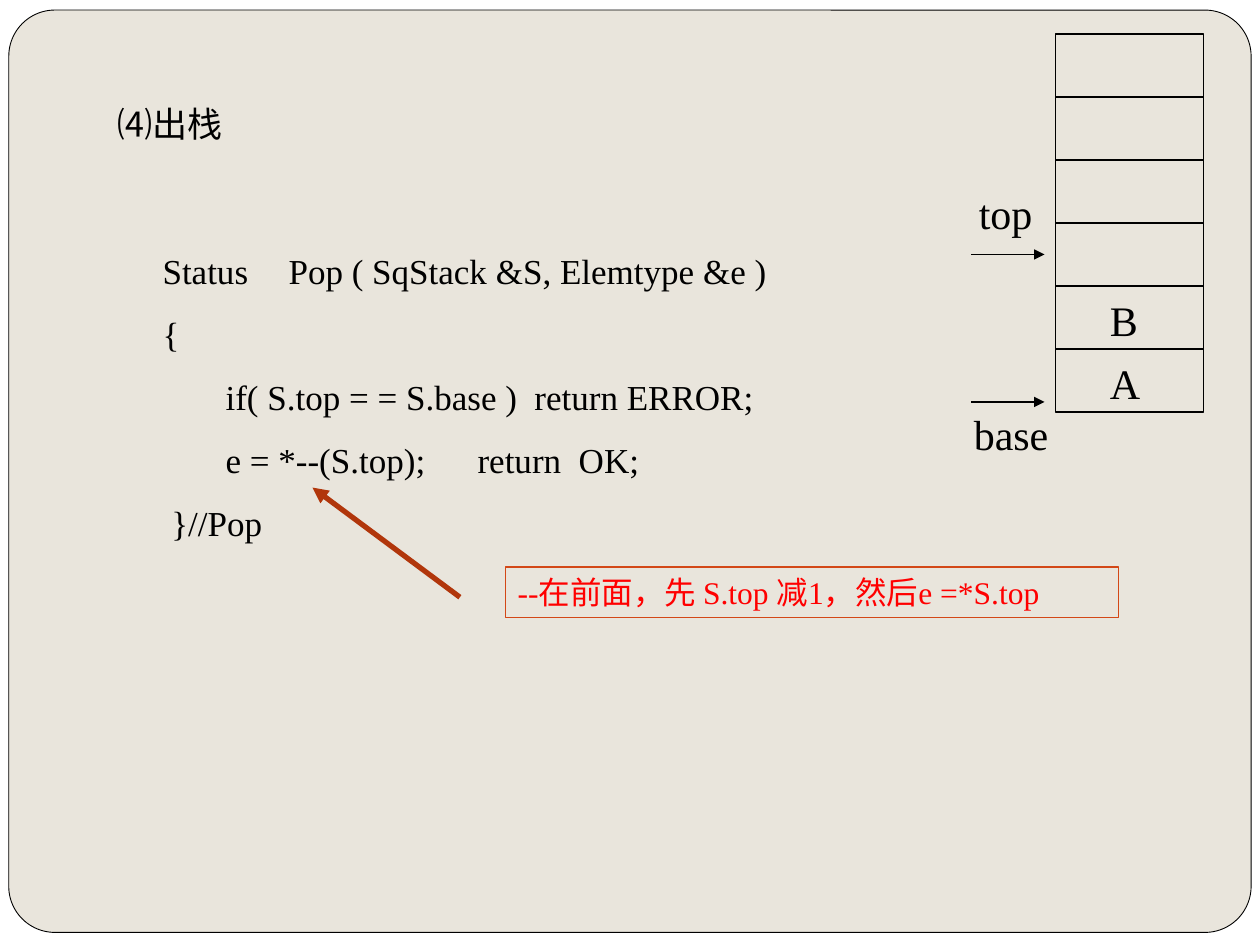
import pptx
import pptx.util
import pptx.dml.color
import pptx.enum.shapes
import pptx.enum.text
import pptx.oxml.ns
from lxml import etree

Inches = pptx.util.Inches
SHAPES = pptx.enum.shapes.MSO_SHAPE

# Content
HEADING = "⑷出栈"
CODE = [  # text, tab stops in inches
    ("Status\tPop ( SqStack &S, Elemtype &e )", [0.89]),
    ("{", []),
    ("\tif( S.top = = S.base )  return ERROR;", [0.49]),
    ("\te = *--(S.top);\treturn  OK;", [0.49, 2.56]),
    (" }//Pop", []),
]
NOTE = "--在前面，先 S.top 减1，然后e =*S.top"
STACK_VALUES = ["B", "A"]
POINTERS = [  # label, label box, arrow height
    ("base", (7.63, 3.19, 0.79, 0.5), 3.19),
    ("top", (7.67, 1.44, 0.63, 0.5), 2.02),
]

# Theme and layout
THEME = {
    "serif": "Times New Roman", "sans": "Noto Sans CJK SC",
    "ink": "000000", "paper": "FFFFFF", "panel": "E9E5DC",
    "red": "FF0000", "note_line": "D34817", "arrow": "B1360B",
    "code": 20, "note": 18, "label": 24, "thin": 0.75,
}
STACK_LEFT, STACK_TOP, STACK_WIDTH = 8.38, 0.27, 1.17
CELL_HEIGHT, CELL_COUNT = 0.5, 6
ARROW_LEFT, ARROW_RIGHT = 7.71, 8.29


def color(name):
    return pptx.dml.color.RGBColor.from_string(THEME[name])


def add_xml(parent, tag, **attributes):
    return etree.SubElement(parent, pptx.oxml.ns.qn(tag), attributes)


def place(shape, box):
    shape.left, shape.top, shape.width, shape.height = map(Inches, box)


def write(shape, lines, size="code", font="serif", ink="ink", spacing=1.0, wrap=True):
    frame = shape.text_frame
    frame.word_wrap = wrap
    frame.auto_size = pptx.enum.text.MSO_AUTO_SIZE.NONE
    frame.vertical_anchor = pptx.enum.text.MSO_ANCHOR.TOP
    for index, line in enumerate(lines):
        paragraph = frame.add_paragraph() if index else frame.paragraphs[0]
        paragraph.alignment = pptx.enum.text.PP_ALIGN.LEFT
        paragraph.line_spacing = spacing
        paragraph.space_before = pptx.util.Pt(0)
        run = paragraph.add_run()
        run.text = line
        run.font.size = pptx.util.Pt(THEME[size])
        run.font.name = THEME[font]
        run.font.color.rgb = color(ink)
        add_xml(run.font._element, "a:ea", typeface=THEME["sans"])


def add_box(slide, kind, box, line, width, fill=None):
    shape = slide.shapes.add_shape(kind, *map(Inches, box))
    shape.shadow.inherit = False
    if fill:
        shape.fill.solid()
        shape.fill.fore_color.rgb = color(fill)
    else:
        shape.fill.background()
    shape.line.color.rgb = color(line)
    shape.line.width = pptx.util.Pt(width)
    return shape


def add_line(slide, start, end, ink="ink", width=THEME["thin"], arrow=False):
    connector = slide.shapes.add_connector(
        pptx.enum.shapes.MSO_CONNECTOR.STRAIGHT, *map(Inches, start + end))
    connector.line.color.rgb = color(ink)
    connector.line.width = pptx.util.Pt(width)
    if arrow:
        add_xml(connector.line._get_or_add_ln(), "a:tailEnd", type="triangle")
    add_xml(connector._element.spPr, "a:effectLst")


def add_label(slide, box, lines, spacing=1.0):
    label = slide.shapes.add_textbox(*map(Inches, box))
    write(label, lines, size="label", spacing=spacing, wrap=False)


def main():
    presentation = pptx.Presentation()
    presentation.slide_width, presentation.slide_height = Inches(10), Inches(7.5)
    slide = presentation.slides.add_slide(presentation.slide_layouts[1])
    slide.background.fill.solid()
    slide.background.fill.fore_color.rgb = color("paper")

    # Rounded panel behind everything
    panel = add_box(slide, SHAPES.ROUNDED_RECTANGLE, (0.07, 0.08, 9.86, 7.32),
                    "ink", 0.5, fill="panel")
    panel.adjustments[0] = 0.05
    panel._element.getparent().insert(2, panel._element)

    # Heading and code
    heading, code = slide.placeholders
    place(heading, (0.83, 0.76, 8.08, 0.44))
    write(heading, [HEADING], font="sans")
    place(code, (1.19, 1.76, 5.81, 2.63))
    write(code, [text for text, stops in CODE], spacing=1.5)
    for paragraph, (text, stops) in zip(code.text_frame.paragraphs, CODE):
        properties = paragraph._p.get_or_add_pPr()
        properties.set("marL", "0")
        properties.set("indent", "0")
        add_xml(properties, "a:buNone")
        if stops:
            tab_list = add_xml(properties, "a:tabLst")
            for stop in stops:
                add_xml(tab_list, "a:tab", pos=str(Inches(stop)), algn="l")

    # Note on the decrement
    add_line(slide, (3.65, 4.74), (2.48, 3.87), ink="arrow", width=3, arrow=True)
    note = add_box(slide, SHAPES.RECTANGLE, (4.01, 4.5, 4.87, 0.4),
                   "note_line", THEME["thin"])
    write(note, [NOTE], size="note", ink="red")

    # Stack cells
    add_box(slide, SHAPES.RECTANGLE,
            (STACK_LEFT, STACK_TOP, STACK_WIDTH, CELL_HEIGHT * CELL_COUNT),
            "ink", THEME["thin"])
    for row in range(1, CELL_COUNT):
        y = STACK_TOP + row * CELL_HEIGHT
        add_line(slide, (STACK_LEFT, y), (STACK_LEFT + STACK_WIDTH, y))
    add_label(slide, (8.71, 2.19, 0.44, 1.1), STACK_VALUES, spacing=1.25)

    # Stack pointers
    for label, box, y in POINTERS:
        add_line(slide, (ARROW_LEFT, y), (ARROW_RIGHT, y), arrow=True)
        add_label(slide, box, [label])

    presentation.save("out.pptx")


if __name__ == "__main__":
    main()
